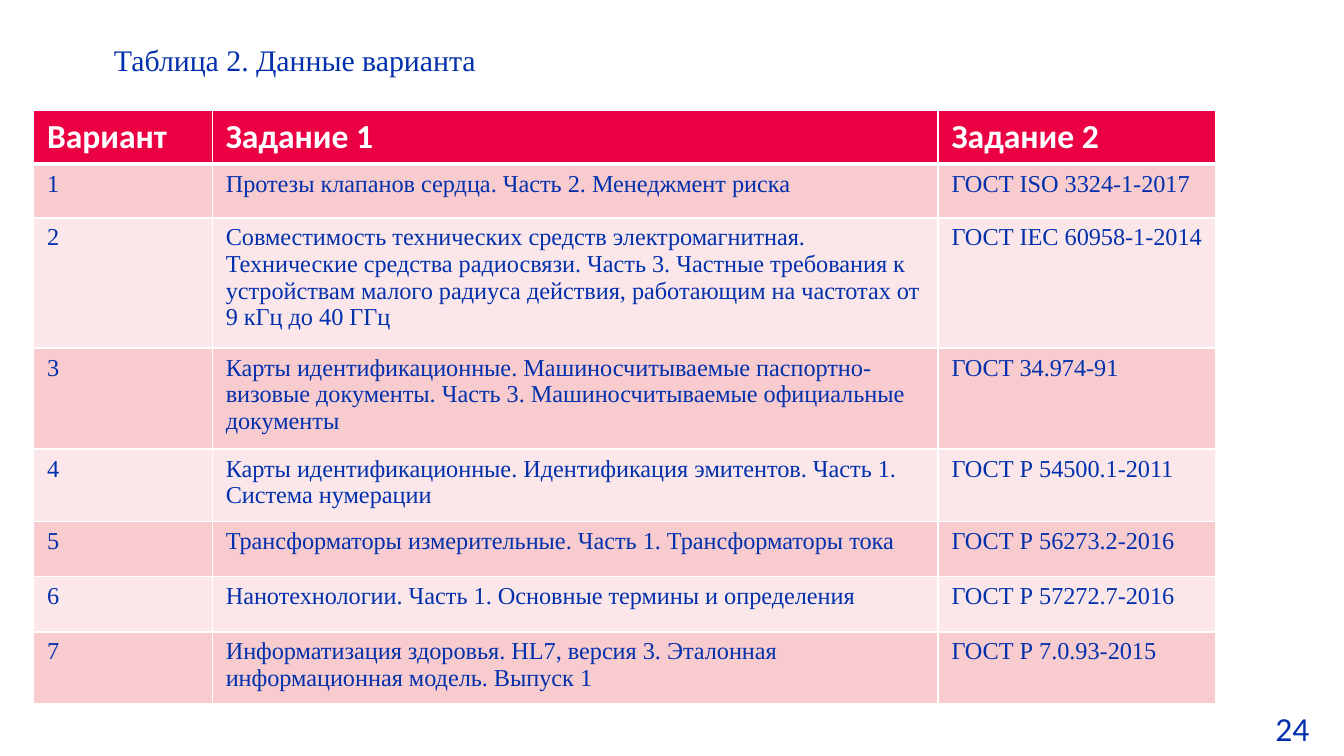
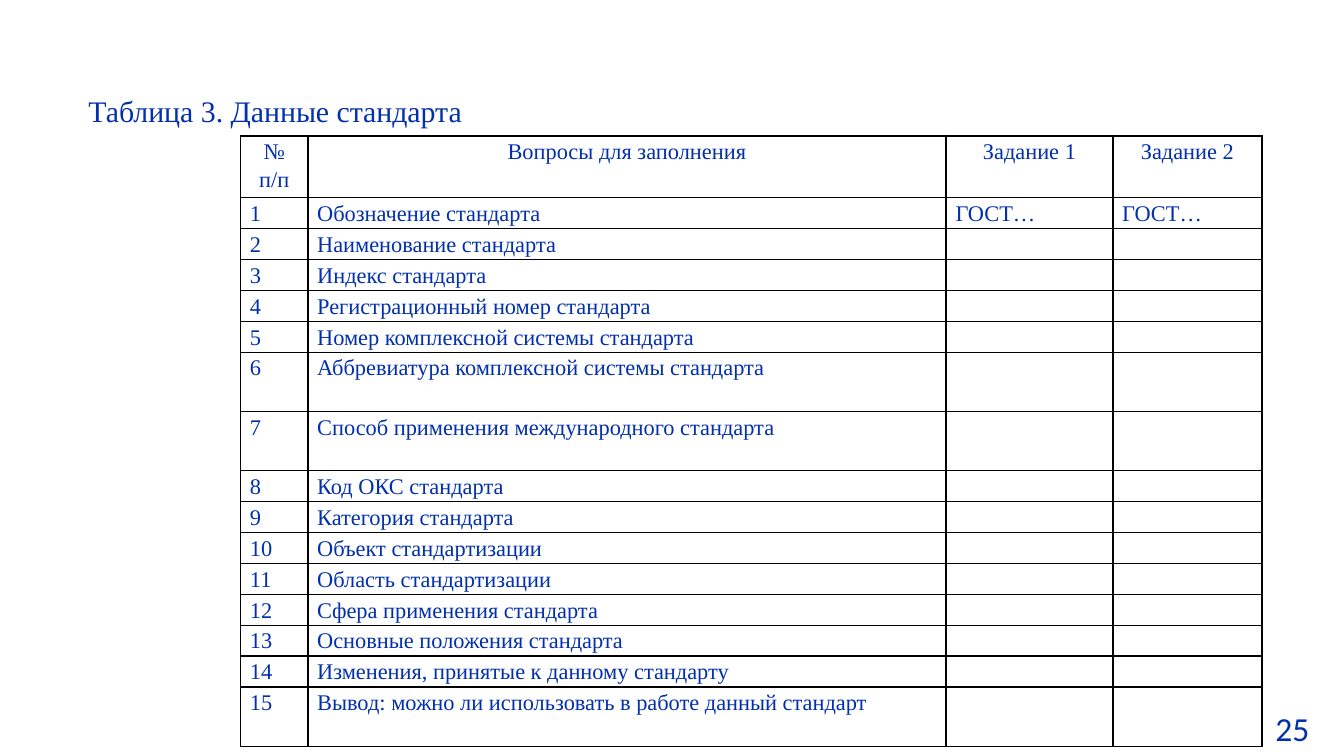
import pptx
import pptx.dml.color
import pptx.enum.text
import pptx.oxml
import pptx.oxml.ns
import pptx.util

Inches = pptx.util.Inches
ALIGN = pptx.enum.text.PP_ALIGN
BLUE, RED, PINK, PALE = "0230AC", "EC0044", "F8CCCF", "FBE7E9"
WHITE, BLACK = "FFFFFF", "000000"
SERIF, SANS = "Times New Roman", "Calibri"

TASKS = [
    ("Вариант", "Задание 1", "Задание 2"),
    ("1", "Протезы клапанов сердца. Часть 2. Менеджмент риска",
     "ГОСТ ISO 3324-1-2017"),
    ("2", "Совместимость технических средств электромагнитная. "
     "Технические средства радиосвязи. Часть 3. Частные требования к "
     "устройствам малого радиуса действия, работающим на частотах от "
     "9 кГц до 40 ГГц", "ГОСТ IEC 60958-1-2014"),
    ("3", "Карты идентификационные. Машиносчитываемые паспортно-визовые "
     "документы. Часть 3. Машиносчитываемые официальные документы",
     "ГОСТ 34.974-91"),
    ("4", "Карты идентификационные. Идентификация эмитентов. Часть 1. "
     "Система нумерации", "ГОСТ Р 54500.1-2011"),
    ("5", "Трансформаторы измерительные. Часть 1. Трансформаторы тока",
     "ГОСТ Р 56273.2-2016"),
    ("6", "Нанотехнологии. Часть 1. Основные термины и определения",
     "ГОСТ Р 57272.7-2016"),
    ("7", "Информатизация здоровья. HL7, версия 3. Эталонная "
     "информационная модель. Выпуск 1", "ГОСТ Р 7.0.93-2015"),
]
TOPICS = [
    "Обозначение стандарта",
    "Наименование стандарта",
    "Индекс стандарта",
    "Регистрационный номер стандарта",
    "Номер комплексной системы стандарта",
    "Аббревиатура комплексной системы стандарта",
    "Способ применения международного стандарта",
    "Код ОКС стандарта",
    "Категория стандарта",
    "Объект стандартизации",
    "Область стандартизации",
    "Сфера применения стандарта",
    "Основные положения стандарта",
    "Изменения, принятые к данному стандарту",
    "Вывод: можно ли использовать в работе данный стандарт",
]
TALL = (6, 7, 15)


def paint(fill, color):
    """Fill with a hex colour, or clear the fill when there is none."""
    if color:
        fill.solid()
        fill.fore_color.rgb = pptx.dml.color.RGBColor.from_string(color)
    else:
        fill.background()


def write(frame, text, size=16, font=SERIF, color=BLUE, bold=False,
          align=None, space=None):
    """Put one formatted paragraph in a text frame and return it."""
    para = frame.paragraphs[0]
    para.alignment = align
    para.line_spacing = space
    if text:
        run = para.add_run()
        run.text = text
        run.font.size = pptx.util.Pt(size)
        run.font.name = font
        run.font.bold = bold
        paint(run.font.fill, color)
    else:
        end = pptx.oxml.parse_xml(
            f'<a:endParaRPr {pptx.oxml.ns.nsdecls("a")} sz="{size * 100}">'
            f'<a:latin typeface="{font}"/></a:endParaRPr>')
        para._p.append(end)
    return para


def label(slide, text, left, top, width, height, **style):
    """Add a text box that grows with its text."""
    box = slide.shapes.add_textbox(*map(Inches, (left, top, width, height)))
    frame = box.text_frame
    frame.word_wrap = True
    frame.margin_right = 0
    frame.auto_size = pptx.enum.text.MSO_AUTO_SIZE.SHAPE_TO_FIT_TEXT
    return write(frame, text, **style)


def border(cell, color, top=1, base=1):
    """Draw the four borders of a cell."""
    for side, width in zip("LRTB", (1, 1, top, base)):
        cell._tc.get_or_add_tcPr().append(pptx.oxml.parse_xml(
            f'<a:ln{side} {pptx.oxml.ns.nsdecls("a")} '
            f'w="{pptx.util.Pt(width)}"><a:solidFill>'
            f'<a:srgbClr val="{color}"/></a:solidFill></a:ln{side}>'))


def grid(slide, left, top, cols, rows):
    """Add a plain table with the given column widths and row heights."""
    table = slide.shapes.add_table(
        len(rows), len(cols), Inches(left), Inches(top),
        Inches(sum(cols)), Inches(sum(rows))).table
    table.first_row = table.horz_banding = False
    for col, width in zip(table.columns, cols):
        col.width = Inches(width)
    for row, height in zip(table.rows, rows):
        row.height = Inches(height)
    return table


def start(deck, number):
    """Add a blank slide with its page number."""
    slide = deck.slides.add_slide(deck.slide_layouts[6])
    label(slide, str(number), 9.39, 5.22, 0.59, 0.4, size=18, font=SANS)
    return slide


def tasks(deck):
    """Build the slide with the task variants."""
    slide = start(deck, 24)
    title = label(slide, "Таблица 2. Данные варианта",
                  0.25, 0.26, 9.13, 0.37, align=ALIGN.JUSTIFY)
    title.level = 1
    props = title._p.get_or_add_pPr()
    props.set("marL", str(Inches(0.88)))
    props.set("indent", str(Inches(-0.38)))
    table = grid(slide, 0.25, 0.82, (1.33, 5.4, 2.07),
                 (0.4, 0.4, 0.97, 0.75, 0.54, 0.41, 0.41, 0.53))
    for r, row in enumerate(TASKS):
        for c, text in enumerate(row):
            cell = table.cell(r, c)
            cell.margin_right = Inches(0.08)
            border(cell, WHITE, top=3 if r == 1 else 1, base=1 if r else 3)
            if r:
                paint(cell.fill, PINK if r % 2 else PALE)
                write(cell.text_frame, text, size=13)
            else:
                paint(cell.fill, RED)
                write(cell.text_frame, text, size=18, font=SANS,
                      color=WHITE, bold=True)


def form(deck):
    """Build the slide with the form to fill in."""
    slide = start(deck, 25)
    label(slide, "Таблица 3. Данные стандарта", 0.56, 0.64, 3, 0.37,
          align=ALIGN.JUSTIFY)
    lines = [("№ п/п", "Вопросы для заполнения", "Задание 1", "Задание 2")]
    for n, topic in enumerate(TOPICS, 1):
        hint = "ГОСТ…" if n == 1 else ""
        lines.append((str(n), topic, hint, hint))
    rows = [0.46] + [0.44 if n in TALL else 0.23
                     for n in range(1, len(lines))]
    table = grid(slide, 1.79, 1.01, (0.5, 4.75, 1.24, 1.11), rows)
    for r, row in enumerate(lines):
        for c, text in enumerate(row):
            cell = table.cell(r, c)
            cell.margin_left = cell.margin_right = Inches(0.07)
            cell.margin_top = cell.margin_bottom = 0
            border(cell, BLACK)
            paint(cell.fill, None)
            write(cell.text_frame, text, size=12, space=1.15,
                  align=None if r else ALIGN.CENTER)


def main():
    """Build and save the deck."""
    deck = pptx.Presentation()
    deck.slide_width, deck.slide_height = Inches(10), Inches(10 * 9 / 16)
    tasks(deck)
    form(deck)
    deck.save("out.pptx")


if __name__ == "__main__":
    main()
